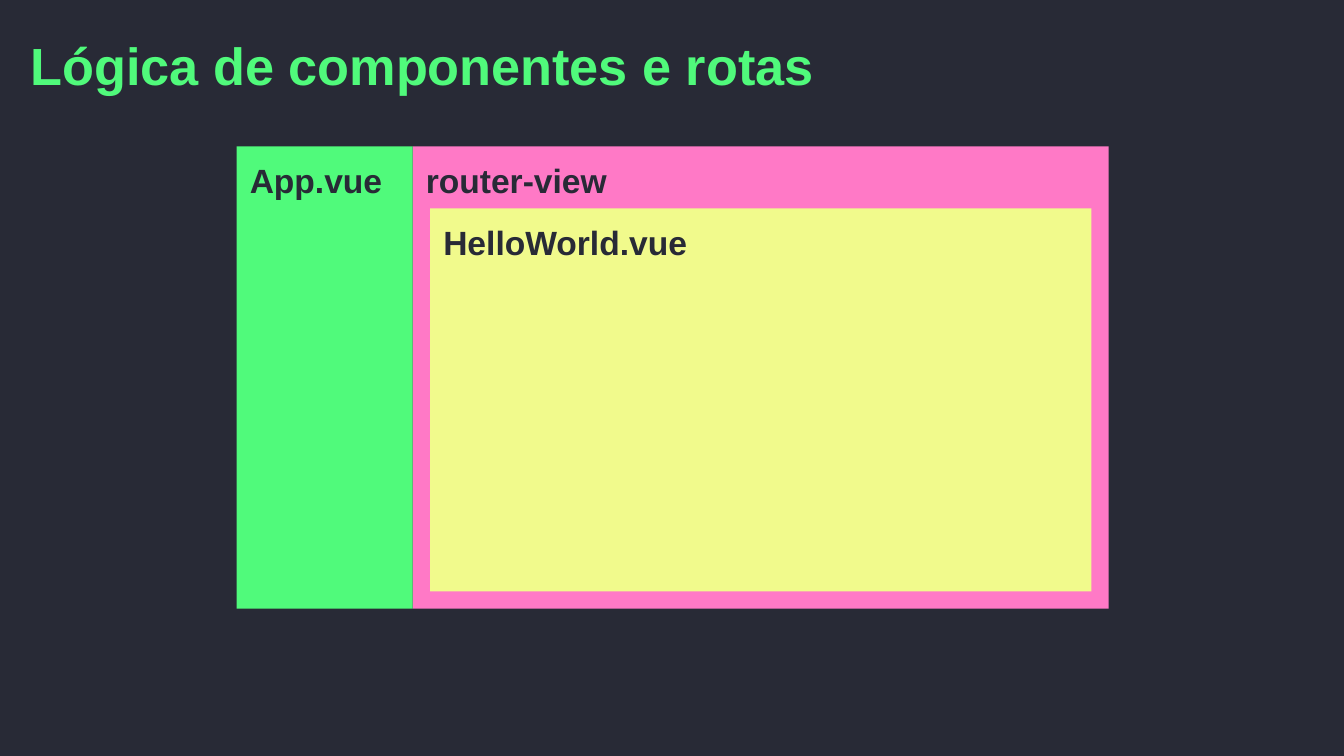
import pptx
import pptx.util
import pptx.dml.color
import pptx.enum.shapes
import pptx.enum.text

# Wide slide, 16 by 9
WIDTH = 10
HEIGHT = WIDTH * 9 / 16
COLORS = {
    "dark": "282A36",
    "green": "50FA7B",
    "pink": "FF79C6",
    "yellow": "F1FA8C",
}

# Nested panels of the diagram, in inches
LEFT, TOP, PANEL_HEIGHT = 1.76, 1.09, 3.44
APP_WIDTH, ROUTER_WIDTH = 1.31, 5.18
ROUTER_LEFT = LEFT + APP_WIDTH
MARGIN, HEADER = 0.13, 0.46
LABEL_HEIGHT = 0.51


def color(name):
    return pptx.dml.color.RGBColor.from_string(COLORS[name])


def inches(*lengths):
    return [pptx.util.Inches(length) for length in lengths]


def add_text(slide, text, area, size, color_name):
    box = slide.shapes.add_textbox(*inches(*area))
    frame = box.text_frame
    frame.word_wrap = True
    frame.vertical_anchor = pptx.enum.text.MSO_ANCHOR.TOP
    frame.margin_left = frame.margin_right = pptx.util.Inches(0.1)
    frame.margin_top = frame.margin_bottom = pptx.util.Inches(0.1)
    frame.text = text
    font = frame.paragraphs[0].runs[0].font
    font.name, font.size, font.bold = "Arial", pptx.util.Pt(size), True
    font.color.rgb = color(color_name)


def add_panel(slide, area, color_name):
    kind = pptx.enum.shapes.MSO_SHAPE.RECTANGLE
    panel = slide.shapes.add_shape(kind, *inches(*area))
    panel.shadow.inherit = False
    panel.fill.solid()
    panel.fill.fore_color.rgb = color(color_name)
    panel.line.fill.background()


def main():
    deck = pptx.Presentation()
    deck.slide_width, deck.slide_height = inches(WIDTH, HEIGHT)
    slide = deck.slides.add_slide(deck.slide_layouts[6])
    slide.background.fill.solid()
    slide.background.fill.fore_color.rgb = color("dark")

    # Title
    add_text(slide, "Lógica de componentes e rotas",
             (MARGIN, 0.15, 9.75, 0.63), 28, "green")

    # Panels, with the routed view inside the router
    router = (ROUTER_LEFT, TOP, ROUTER_WIDTH, PANEL_HEIGHT)
    view = (ROUTER_LEFT + MARGIN, TOP + HEADER,
            ROUTER_WIDTH - 2 * MARGIN, PANEL_HEIGHT - HEADER - MARGIN)
    app = (LEFT, TOP, APP_WIDTH, PANEL_HEIGHT)
    for area, fill in ((router, "pink"), (view, "yellow"), (app, "green")):
        add_panel(slide, area, fill)

    # Names in the top left corners of the panels
    labels = (("router-view", router, 2.3), ("App.vue", app, APP_WIDTH),
              ("HelloWorld.vue", view, 2.36))
    for name, (left, top, *_), width in labels:
        add_text(slide, name, (left, top, width, LABEL_HEIGHT), 18, "dark")

    deck.save("out.pptx")


if __name__ == "__main__":
    main()
